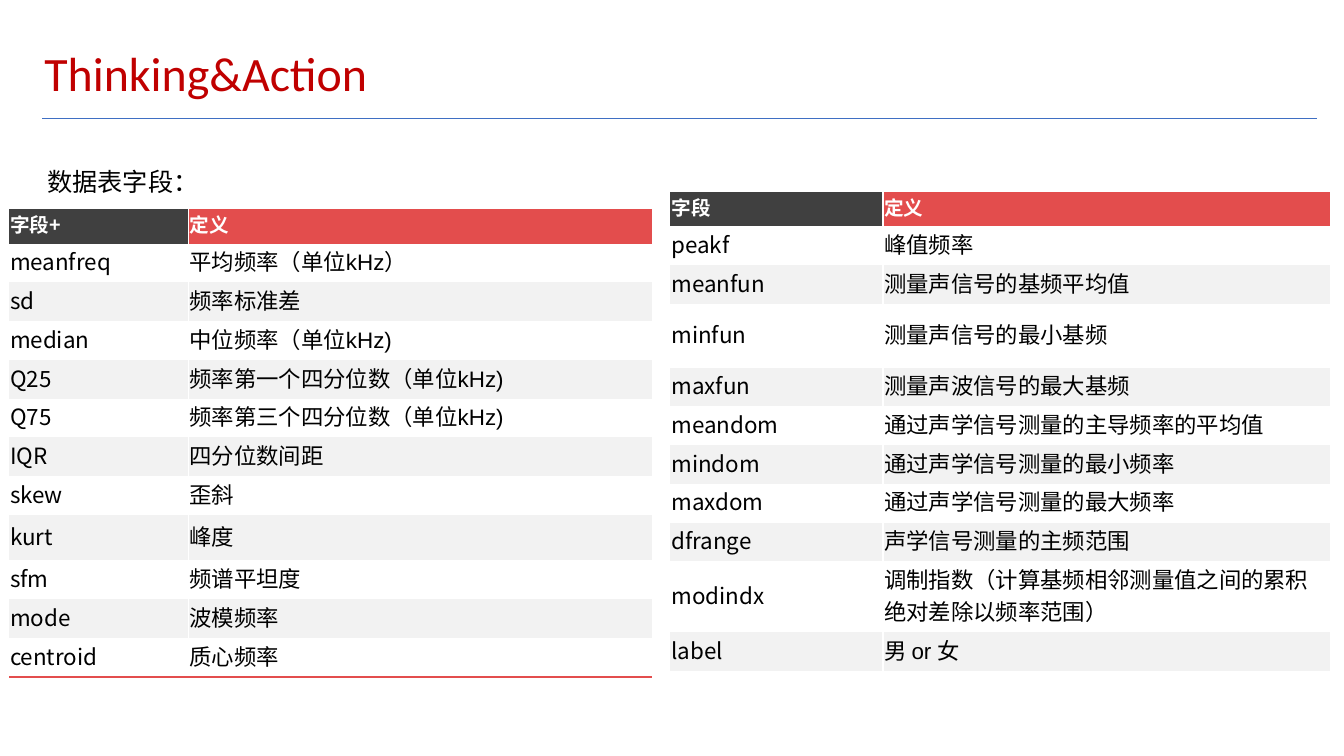
from dataclasses import dataclass
from typing import Any

import pptx
import pptx.dml.color
import pptx.enum.shapes
import pptx.enum.text
import pptx.oxml.ns
import pptx.util
from lxml import etree
from pptx.dml.color import RGBColor
from pptx.util import Inches

BLACK = RGBColor(0x00, 0x00, 0x00)
WHITE = RGBColor(0xFF, 0xFF, 0xFF)
DARK = RGBColor(0x40, 0x40, 0x40)
RED = RGBColor(0xE3, 0x4D, 0x4D)
TITLE_RED = RGBColor(0xC0, 0x00, 0x00)
BAND = RGBColor(0xF2, 0xF2, 0xF2)
RULE_BLUE = RGBColor(0x3F, 0x6F, 0xC3)

CJK_FONT = "Noto Sans CJK SC"
PLAIN_TABLE_STYLE = "{2D5ABB26-0587-4C30-8999-92F81FD0307C}"
HEADER_HEIGHT = 25 / 72
ROW_HEIGHT = 27.7 / 72
ANCHOR = pptx.enum.text.MSO_ANCHOR
qn = pptx.oxml.ns.qn


@dataclass
class FieldTable:
    left: float
    top: float
    column_widths: tuple[float, float]
    header: tuple[str, str]
    fields: list[tuple[str, str]]
    tall_rows: dict[str, float]
    closing_line: bool = False


FIELD_TABLES = [
    FieldTable(
        6.65, 1.9, (2.11, 4.43), ("字段", "定义"),
        [
            ("peakf", "峰值频率"),
            ("meanfun", "测量声信号的基频平均值"),
            ("minfun", "测量声信号的最小基频"),
            ("maxfun", "测量声波信号的最大基频"),
            ("meandom", "通过声学信号测量的主导频率的平均值"),
            ("mindom", "通过声学信号测量的最小频率"),
            ("maxdom", "通过声学信号测量的最大频率"),
            ("dfrange", "声学信号测量的主频范围"),
            ("modindx", "调制指数（计算基频相邻测量值之间的累积绝对差除以频率范围）"),
            ("label", "男 or 女"),
        ],
        {"minfun": 0.63, "modindx": 0.7},
    ),
    FieldTable(
        0.09, 2.07, (1.78, 4.6), ("字段+", "定义"),
        [
            ("meanfreq", "平均频率（单位kHz）"),
            ("sd", "频率标准差"),
            ("median", "中位频率（单位kHz)"),
            ("Q25", "频率第一个四分位数（单位kHz)"),
            ("Q75", "频率第三个四分位数（单位kHz)"),
            ("IQR", "四分位数间距"),
            ("skew", "歪斜"),
            ("kurt", "峰度"),
            ("sfm", "频谱平坦度"),
            ("mode", "波模频率"),
            ("centroid", "质心频率"),
        ],
        {"kurt": 0.45}, closing_line=True,
    ),
]


def write_text(text_frame: Any, text: str, *, size: float, font: str,
               color: RGBColor = BLACK, bold: bool = False,
               line_spacing: float = 1.0) -> None:
    paragraph = text_frame.paragraphs[0]
    paragraph.alignment = pptx.enum.text.PP_ALIGN.LEFT
    paragraph.line_spacing = line_spacing
    run = paragraph.add_run()
    run.text = text
    run.font.size = pptx.util.Pt(size)
    run.font.name = font
    run.font.bold = bold
    run.font.color.rgb = color
    properties = run.font._element
    etree.SubElement(properties, qn("a:ea"), typeface=CJK_FONT)


def add_border(cell: Any, side: str, color: RGBColor) -> None:
    """Add a 1.5 pt border; call before filling the cell, in L, R, T, B order."""
    properties = cell._tc.get_or_add_tcPr()
    line = etree.SubElement(properties, qn(f"a:ln{side}"), w=str(pptx.util.Pt(1.5)))
    fill = etree.SubElement(line, qn("a:solidFill"))
    etree.SubElement(fill, qn("a:srgbClr"), val=str(color))


def add_field_table(slide: Any, data: FieldTable) -> None:
    rows = [data.header, *data.fields]
    heights = [HEADER_HEIGHT] + [data.tall_rows.get(name, ROW_HEIGHT)
                                 for name, _ in data.fields]
    frame = slide.shapes.add_table(
        len(rows), 2, Inches(data.left), Inches(data.top),
        Inches(sum(data.column_widths)), Inches(sum(heights)))
    for style in frame.element.iter(qn("a:tableStyleId")):
        style.text = PLAIN_TABLE_STYLE
    table = frame.table
    for column, width in zip(table.columns, data.column_widths):
        column.width = Inches(width)
    for row_index, (values, height) in enumerate(zip(rows, heights)):
        table.rows[row_index].height = Inches(height)
        is_header = row_index == 0
        for column_index, value in enumerate(values):
            cell = table.cell(row_index, column_index)
            cell.margin_left = cell.margin_right = cell.margin_top = Inches(0.01)
            cell.margin_bottom = Inches(0.05)
            add_border(cell, "RL"[column_index], WHITE)
            if data.closing_line and row_index == len(rows) - 1:
                add_border(cell, "B", RED)
            cell.fill.solid()
            if is_header:
                cell.fill.fore_color.rgb = (DARK, RED)[column_index]
                write_text(cell.text_frame, value, size=14, font=CJK_FONT,
                           color=WHITE, bold=True)
            else:
                cell.vertical_anchor = ANCHOR.MIDDLE
                cell.fill.fore_color.rgb = WHITE if row_index % 2 else BAND
                write_text(cell.text_frame, value, size=16,
                           font=(CJK_FONT, "Arial")[column_index])


def set_frame(text_frame: Any, anchor: Any) -> None:
    text_frame.word_wrap = True
    text_frame.vertical_anchor = anchor
    text_frame.margin_left = text_frame.margin_right = Inches(0.05)
    text_frame.margin_top = text_frame.margin_bottom = Inches(0.05)


def add_title(slide: Any) -> None:
    title = slide.shapes.title
    title.left, title.top = Inches(0.39), Inches(0.4)
    title.width, title.height = Inches(11.13), Inches(0.71)
    set_frame(title.text_frame, ANCHOR.MIDDLE)
    write_text(title.text_frame, "Thinking&Action", size=34.2, font="Calibri",
               color=TITLE_RED, line_spacing=0.9)


def add_title_rule(slide: Any) -> None:
    rule = slide.shapes.add_connector(
        pptx.enum.shapes.MSO_CONNECTOR.STRAIGHT,
        Inches(0.42), Inches(1.18), Inches(13.06), Inches(1.18))
    rule.line.color.rgb = RULE_BLUE
    rule.line.width = pptx.util.Pt(0.75)
    etree.SubElement(rule.element.spPr, qn("a:effectLst"))


def add_caption(slide: Any) -> None:
    caption = slide.shapes.add_textbox(
        Inches(0.42), Inches(1.45), Inches(6.77), Inches(4.6))
    set_frame(caption.text_frame, ANCHOR.TOP)
    write_text(caption.text_frame, "数据表字段：", size=18, font="Calibri",
               line_spacing=1.5)


def main() -> None:
    presentation = pptx.Presentation()
    presentation.slide_width = Inches(13.33)
    presentation.slide_height = Inches(7.5)
    slide = presentation.slides.add_slide(
        presentation.slide_layouts.get_by_name("Title Only"))
    add_title_rule(slide)
    add_title(slide)
    add_caption(slide)
    for data in FIELD_TABLES:
        add_field_table(slide, data)
    presentation.save("out.pptx")


if __name__ == "__main__":
    main()
